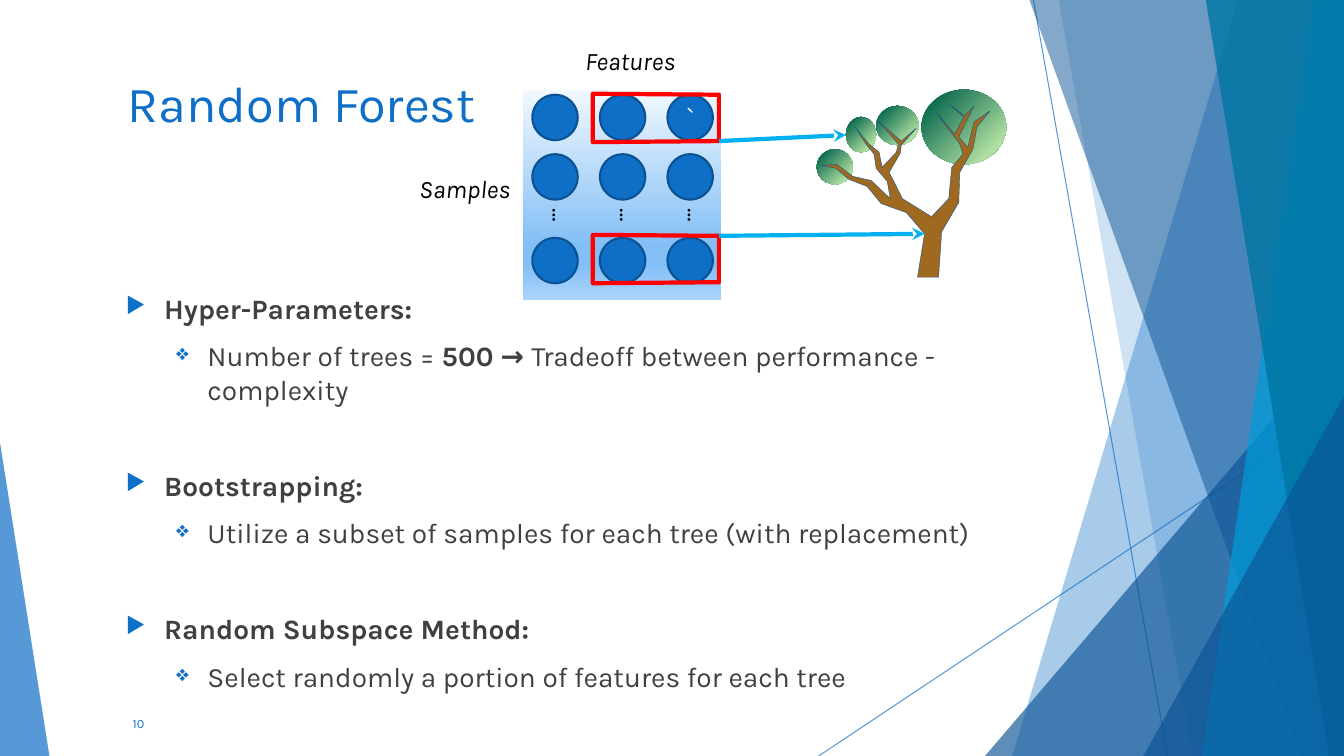
from lxml.etree import SubElement
from pptx import Presentation
from pptx.dml.color import RGBColor as RGB
from pptx.enum.shapes import MSO_CONNECTOR as Link, MSO_SHAPE as Kind
from pptx.enum.text import MSO_ANCHOR as Anchor, PP_ALIGN as Align
from pptx.oxml.ns import qn
from pptx.util import Cm, Pt

BLUE = RGB.from_string("0F6FC6")
NAVY = RGB.from_string("0B5394")
EDGE = RGB.from_string("0B5292")
CYAN = RGB.from_string("009DD9")
TEAL = RGB.from_string("0076A3")
SKY = RGB.from_string("00B0F0")
RED = RGB.from_string("FF0000")
BROWN = RGB.from_string("A06920")
GREY = RGB.from_string("404040")
BLACK = RGB.from_string("000000")
WHITE = RGB.from_string("FFFFFF")
PALE = RGB.from_string("F1F8FE")
AZURE = RGB.from_string("83BFF6")
MIST = RGB.from_string("ACD4F9")
PINE = RGB.from_string("08684E")
LIME = RGB.from_string("B0DFA1")
PANEL = [(0, PALE), (74, AZURE), (83, AZURE), (100, MIST)]
LEAF = [(12, PINE), (82, LIME)]

TREE = [
    (9.1, 2.75), (9.17, 2.32), (8.99, 2.11), (8.74, 2.02), (8.6, 1.85),
    (8.42, 1.78), (8.29, 1.67), (8.15, 1.64), (8.3, 1.63), (8.46, 1.75),
    (8.64, 1.79), (8.83, 1.97), (8.8, 1.8), (8.69, 1.67), (8.67, 1.53),
    (8.59, 1.43), (8.48, 1.26), (8.62, 1.43), (8.72, 1.51), (8.75, 1.66),
    (8.89, 1.51), (8.91, 1.43), (8.71, 1.2), (8.94, 1.4), (9.09, 1.27),
    (8.94, 1.44), (8.93, 1.52), (8.82, 1.71), (8.95, 1.97), (9.24, 2.15),
    (9.41, 1.97), (9.44, 1.66), (9.55, 1.53), (9.52, 1.43), (9.28, 1.11),
    (9.47, 1.33), (9.56, 1.16), (9.41, 1.03), (9.57, 1.15), (9.66, 1.05),
    (9.51, 1.36), (9.6, 1.46), (9.66, 1.21), (9.82, 1.1), (9.69, 1.26),
    (9.65, 1.48), (9.52, 1.71), (9.51, 2.01), (9.34, 2.3), (9.31, 2.75)]


def inch(*vals):
    return [Cm(2.54 * val) for val in vals]


def fade(part, pct):
    tone = next(part.iter(qn("a:srgbClr")))
    SubElement(tone, qn("a:alpha"), val=str(pct * 1000))


def blend(shape, stops, turn):
    shape.fill.solid()
    props = shape._element.spPr
    grad = props.makeelement(qn("a:gradFill"), rotWithShape="1")
    props.replace(props.find(qn("a:solidFill")), grad)
    bag = SubElement(grad, qn("a:gsLst"))
    for pos, tone in stops:
        stop = SubElement(bag, qn("a:gs"), pos=str(pos * 1000))
        SubElement(stop, qn("a:srgbClr"), val=str(tone))
    SubElement(grad, qn("a:lin"), ang=str(turn * 60000), scaled="0")


def paint(shape, fill=None, line=None, width=1, alpha=None):
    shape.shadow.inherit = False
    if fill is None:
        shape.fill.background()
    else:
        shape.fill.solid()
        shape.fill.fore_color.rgb = fill
    if alpha:
        fade(shape._element.spPr, alpha)
    if line is None:
        shape.line.fill.background()
    else:
        shape.line.color.rgb = line
        shape.line.width = Pt(width)
    return shape


def preset(slide, kind, box, **look):
    return paint(slide.shapes.add_shape(kind, *inch(*box)), **look)


def outline(slide, dots, **look):
    pen = slide.shapes.build_freeform(*inch(*dots[0]))
    pen.add_line_segments([inch(*dot) for dot in dots[1:]], close=True)
    return paint(pen.convert_to_shape(), **look)


def wedge(slide, box, tip, tone, alpha):
    shape = preset(slide, Kind.ISOSCELES_TRIANGLE, box, fill=tone, alpha=alpha)
    shape.adjustments[0] = tip


def link(slide, start, end, tone, width, alpha=None, head=False):
    line = slide.shapes.add_connector(Link.STRAIGHT, *inch(*start, *end))
    line.line.color.rgb = tone
    line.line.width = Pt(width)
    props = line._element.spPr
    if alpha:
        fade(props, alpha)
    if head:
        SubElement(props.find(qn("a:ln")), qn("a:tailEnd"), type="stealth")
    SubElement(props, qn("a:effectLst"))


def style(para, size, tone, bold=None, slant=None):
    font = para.font
    font.name, font.size = "Karla", Pt(size)
    font.bold, font.italic = bold, slant
    font.color.rgb = tone


def label(slide, box, text, size, tone, align=Align.LEFT, anchor=Anchor.TOP,
          slant=None, turn=0):
    shape = slide.shapes.add_textbox(*inch(*box))
    shape.rotation = turn
    frame = shape.text_frame
    frame.word_wrap, frame.vertical_anchor = True, anchor
    para = frame.paragraphs[0]
    para.text, para.alignment = text, align
    style(para, size, tone, slant=slant)


def bullet(para, mark, left, hang):
    props = para._p.get_or_add_pPr()
    props.set("marL", str(Cm(2.54 * left)))
    props.set("indent", str(-Cm(2.54 * hang)))
    tone = SubElement(props, qn("a:buClr"))
    SubElement(tone, qn("a:srgbClr"), val=str(BLUE))
    SubElement(props, qn("a:buSzPct"), val="80000")
    SubElement(props, qn("a:buChar"), char=mark)


def topics(slide, box, items):
    frame = slide.shapes.add_textbox(*inch(*box)).text_frame
    frame.word_wrap = True
    for num, (head, parts) in enumerate(items):
        top = frame.add_paragraph() if num else frame.paragraphs[0]
        bullet(top, "▶", 0.38, 0.38)
        top.space_before = Pt(44.3 if num else 0)
        top.text = head
        style(top, 20, GREY, bold=True)
        sub = frame.add_paragraph()
        bullet(sub, "❖", 0.81, 0.31)
        sub.space_before = Pt(10)
        style(sub, 20, GREY)
        for text, bold in parts:
            run = sub.add_run()
            run.text, run.font.bold = text, bold


def facets(slide):
    link(slide, (10.25, 0), (11.58, 7.5), BLUE, 0.75, 70)
    link(slide, (13.33, 4.03), (8.12, 7.5), BLUE, 0.75, 70)
    bands = [(12.28, 10.04, BLUE, 36), (10.5, 11.83, BLUE, 20), (10.21, 12.91, NAVY, 50),
             (13.03, 11.92, CYAN, 70), (11.96, 13.18, TEAL, 80)]
    for num, (top, foot, tone, alpha) in enumerate(bands):
        if num == 2:
            wedge(slide, (9.77, 3.33, 3.56, 4.17), 1, NAVY, 66)
        dots = [(top, 0), (13.33, 0), (13.33, 7.5), (foot, 7.5)]
        outline(slide, dots, fill=tone, alpha=alpha)
    wedge(slide, (11.34, 3.93, 1.99, 3.57), 1, NAVY, 66)
    wedge(slide, (0, 4.39, 0.49, 3.11), 0, BLUE, 70)


def matrix(slide):
    blend(preset(slide, Kind.RECTANGLE, (5.19, 0.89, 1.96, 2.09)), PANEL, 90)
    for row, top in enumerate((0.94, 1.53, 2.36)):
        for col in range(3):
            box = (5.28 + 0.67 * col, top, 0.45, 0.45)
            ball = preset(slide, Kind.OVAL, box, fill=BLUE, line=EDGE, width=1.5)
            if (row, col) == (0, 2):
                frame = ball.text_frame
                frame.vertical_anchor = Anchor.MIDDLE
                para = frame.paragraphs[0]
                para.text, para.alignment = "`", Align.CENTER
                style(para, 18, WHITE)
    for col in range(3):
        label(slide, (5.31 + 0.67 * col, 2.04, 0.54, 0.4), "…", 18, BLACK, turn=90)


def tree(slide):
    for box in [(8.39, 1.16, 0.3, 0.35), (8.69, 1.05, 0.42, 0.39),
                (8.1, 1.48, 0.36, 0.35), (9.14, 0.89, 0.84, 0.74)]:
        blend(preset(slide, Kind.OVAL, box), LEAF, 45)
    outline(slide, TREE, fill=BROWN, line=EDGE, width=0.25)


def main():
    deck = Presentation()
    deck.slide_width, deck.slide_height = inch(13.33, 7.5)
    slide = deck.slides.add_slide(deck.slide_layouts[6])
    facets(slide)
    label(slide, (1.17, 0.67, 9.4, 1.44), "Random Forest", 36, BLUE)
    topics(slide, (1.15, 2.84, 9.4, 4.32), [
        ("Hyper-Parameters:", [("Number of trees = ", False), ("500 → ", True),
                               ("Tradeoff between performance - complexity", False)]),
        ("Bootstrapping:",
         [("Utilize a subset of samples for each tree (with replacement)", False)]),
        ("Random Subspace Method:",
         [("Select randomly a portion of features for each tree", False)])])
    label(slide, (0.78, 6.98, 0.75, 0.4), "10", 9, BLUE, Align.RIGHT, Anchor.MIDDLE)
    matrix(slide)
    tree(slide)
    for top, end in [(0.93, (8.39, 1.34)), (2.33, (9.17, 2.32))]:
        dots = [(5.88, top), (5.88, top + 0.48), (7.13, top + 0.47), (7.13, top + 0.01)]
        outline(slide, dots, line=RED, width=3)
        link(slide, (7.13, 1.4 if top < 1 else 2.34), end, SKY, 3, head=True)
    for left, top, text in [(4.01, 1.58, "Samples"), (5.65, 0.31, "Features")]:
        label(slide, (left, top, 1.2, 0.57), text, 18, BLACK, Align.CENTER,
              Anchor.MIDDLE, slant=True)
    deck.save("out.pptx")


if __name__ == "__main__":
    main()
